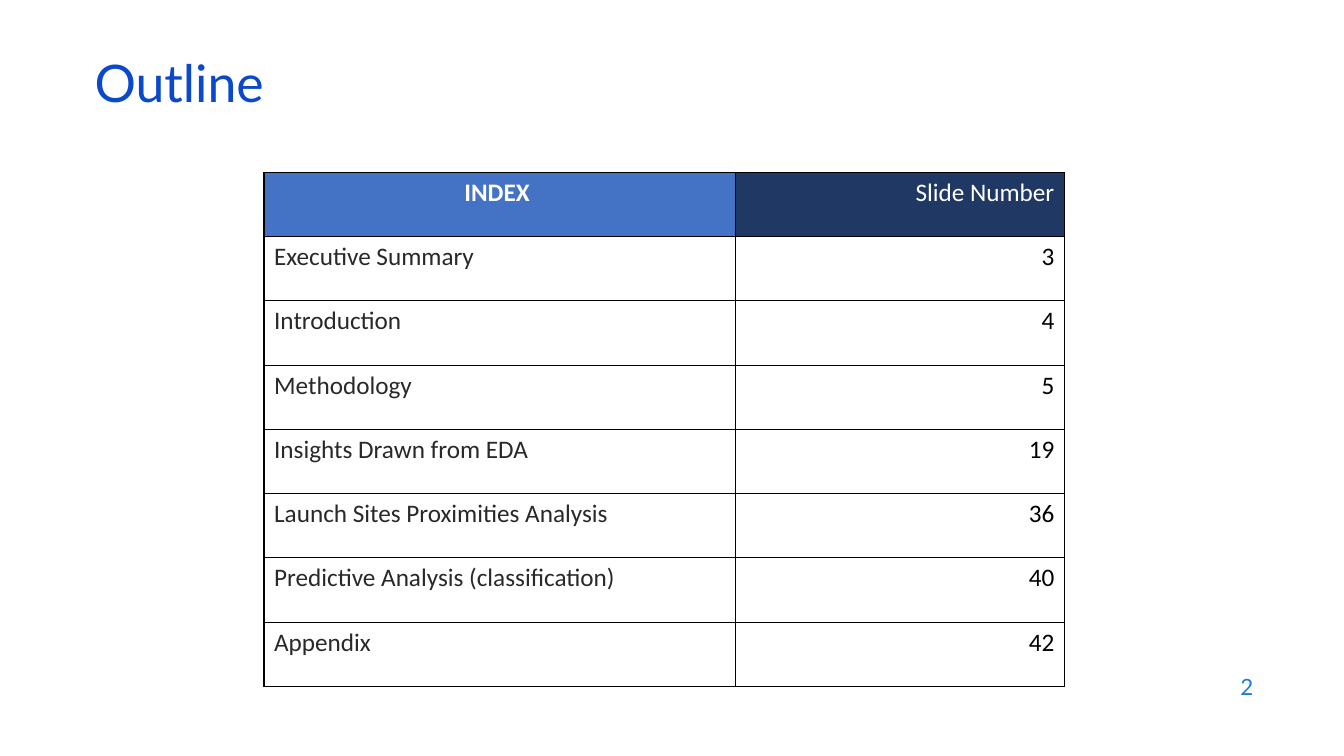
"""Build the outline slide with its index table."""
from dataclasses import dataclass

import pptx
import pptx.dml.color
import pptx.enum.text
import pptx.oxml
import pptx.oxml.ns
import pptx.util

ALIGN = pptx.enum.text.PP_ALIGN
ANCHOR = pptx.enum.text.MSO_ANCHOR
SLIDE_W = pptx.util.Inches(13.33)
SLIDE_H = pptx.util.Inches(7.5)
COLUMN_SHARES = (35.1, 24.45)
ROW_SHARE = 8.5

COLORS = {
    "title": "0B49CB",
    "number": "1C7DDB",
    "index": "4472C4",
    "pages": "203864",
    "topic": "292929",
    "black": "000000",
    "white": "FFFFFF",
}


@dataclass(frozen=True)
class Box:
    """A frame in percent of the slide's width and height."""
    left: float
    top: float
    width: float
    height: float


@dataclass(frozen=True)
class Entry:
    """One topic of the outline and the slide it starts on."""
    topic: str
    page: int


ENTRIES = (
    Entry("Executive Summary", 3),
    Entry("Introduction", 4),
    Entry("Methodology", 5),
    Entry("Insights Drawn from EDA", 19),
    Entry("Launch Sites Proximities Analysis", 36),
    Entry("Predictive Analysis (classification)", 40),
    Entry("Appendix", 42),
)


def across(share: float) -> int:
    """Turn a percentage of the slide's width into a length."""
    return round(SLIDE_W * share / 100)


def down(share: float) -> int:
    """Turn a percentage of the slide's height into a length."""
    return round(SLIDE_H * share / 100)


def rgb(name: str) -> pptx.dml.color.RGBColor:
    """Look up a named colour."""
    return pptx.dml.color.RGBColor.from_string(COLORS[name])


def write(tf, text: str, *, size: float = 18, color: str = "black",
          font: str = "Calibri", bold: bool = False, align=ALIGN.LEFT,
          spacing: float = 1.0) -> None:
    """Write one formatted paragraph into a text frame."""
    p = tf.paragraphs[0]
    p.alignment = align
    p.line_spacing = spacing
    r = p.add_run()
    r.text = text
    r.font.name = font
    r.font.size = pptx.util.Pt(size)
    r.font.bold = bold
    r.font.color.rgb = rgb(color)


def add_label(s, box: Box, text: str, **style) -> None:
    """Add a vertically centred text box."""
    sp = s.shapes.add_textbox(across(box.left), down(box.top),
                              across(box.width), down(box.height))
    tf = sp.text_frame
    tf.word_wrap = True
    tf.vertical_anchor = ANCHOR.MIDDLE
    write(tf, text, font="Lato", **style)


def fill_cell(cell, text: str, fill: str, **style) -> None:
    """Give a cell its borders, fill and text."""
    props = cell._tc.get_or_add_tcPr()
    for side in ("lnL", "lnR", "lnT", "lnB"):
        props.append(pptx.oxml.parse_xml(
            f'<a:{side} {pptx.oxml.ns.nsdecls("a")} w="{pptx.util.Pt(1)}">'
            f'<a:solidFill><a:srgbClr val="{COLORS["black"]}"/></a:solidFill>'
            f'</a:{side}>'))
    cell.fill.solid()
    cell.fill.fore_color.rgb = rgb(fill)
    write(cell.text_frame, text, **style)


def add_index(s, left: float, top: float) -> None:
    """Add the table of topics and slide numbers."""
    count = len(ENTRIES) + 1
    table = s.shapes.add_table(
        count, len(COLUMN_SHARES), across(left), down(top),
        across(sum(COLUMN_SHARES)), down(ROW_SHARE * count)).table
    for column, share in zip(table.columns, COLUMN_SHARES):
        column.width = across(share)
    for row in table.rows:
        row.height = down(ROW_SHARE)
    fill_cell(table.cell(0, 0), "INDEX ", "index", color="white", bold=True,
              align=ALIGN.CENTER)
    fill_cell(table.cell(0, 1), "Slide Number", "pages", color="white",
              align=ALIGN.RIGHT)
    for i, entry in enumerate(ENTRIES, start=1):
        fill_cell(table.cell(i, 0), entry.topic, "white", color="topic")
        fill_cell(table.cell(i, 1), str(entry.page), "white",
                  align=ALIGN.RIGHT)


def main() -> None:
    """Build and save the slide."""
    prs = pptx.Presentation()
    prs.slide_width, prs.slide_height = SLIDE_W, SLIDE_H
    s = prs.slides.add_slide(prs.slide_layouts[6])
    add_label(s, Box(71.49, 87.87, 22.5, 5.87), "2", size=16, color="number",
              align=ALIGN.RIGHT)
    add_label(s, Box(6.3, 7.87, 86.27, 8), "Outline", size=37, color="title",
              spacing=0.7)
    add_index(s, 19.65, 22.8)
    prs.save("out.pptx")


if __name__ == "__main__":
    main()
